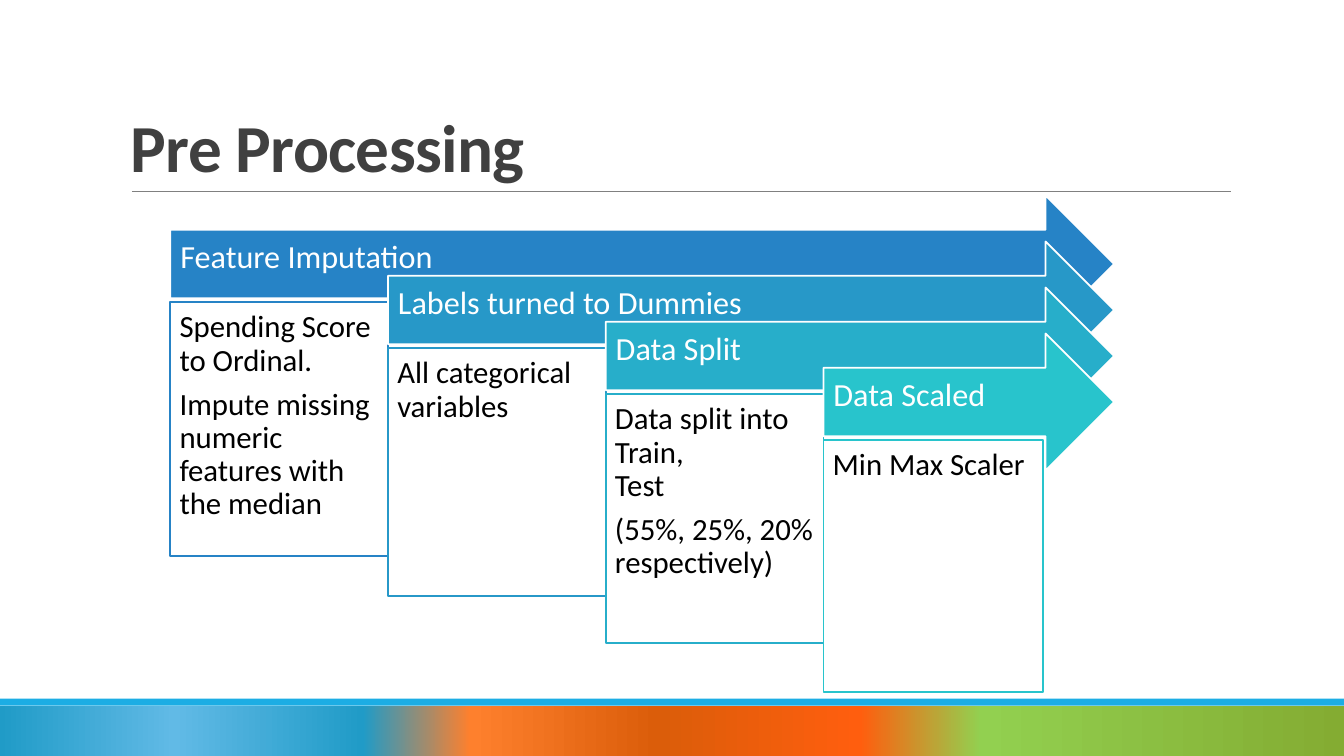
from lxml import etree
from pptx import Presentation
from pptx.dml.color import RGBColor
from pptx.enum.shapes import MSO_CONNECTOR, MSO_SHAPE
from pptx.enum.text import MSO_ANCHOR
from pptx.oxml.ns import qn
from pptx.util import Pt

RECTANGLE, RIGHT_ARROW = MSO_SHAPE.RECTANGLE, MSO_SHAPE.RIGHT_ARROW
STRAIGHT = MSO_CONNECTOR.STRAIGHT
TOP, MIDDLE, BOTTOM = MSO_ANCHOR.TOP, MSO_ANCHOR.MIDDLE, MSO_ANCHOR.BOTTOM

WHITE = RGBColor(0xFF, 0xFF, 0xFF)
BLACK = RGBColor(0, 0, 0)
TITLE_GREY = RGBColor(0x40, 0x40, 0x40)
RULE_GREY = RGBColor(0x80, 0x80, 0x80)
STRIPE_BLUE = RGBColor(0x1C, 0xAD, 0xE4)
STEP_BLUE = RGBColor(0x26, 0x83, 0xC6)
STEP_SKY = RGBColor(0x27, 0x98, 0xC8)
STEP_TEAL = RGBColor(0x27, 0xAE, 0xCA)
STEP_AQUA = RGBColor(0x28, 0xC4, 0xCC)
FOOTER_STOPS = [
    (0, RGBColor(0x84, 0xAC, 0x32)), (27, RGBColor(0x92, 0xD0, 0x50)),
    (36, RGBColor(0xFF, 0x5E, 0x0E)), (51, RGBColor(0xDB, 0x5D, 0x0A)),
    (65, RGBColor(0xFE, 0x80, 0x2D)), (73, RGBColor(0x20, 0x9B, 0xC7)),
    (87, RGBColor(0x61, 0xBA, 0xE6)), (100, RGBColor(0x20, 0x9B, 0xC7)),
]

# Heading, paragraphs, colour, box width, box height
STEPS = [
    ("Feature Imputation",
     ["Spending Score to Ordinal.",
      "Impute missing numeric features with the median"],
     STEP_BLUE, 155.5, 181.4),
    ("Labels turned to Dummies", ["All categorical variables"],
     STEP_SKY, 155.5, 177.1),
    ("Data Split",
     ["Data split into Train,\vTest", "(55%, 25%, 20% respectively)"],
     STEP_TEAL, 155.5, 177.8),
    ("Data Scaled", ["Min Max Scaler"], STEP_AQUA, 157, 180),
]
FIRST_LEFT, FIRST_TOP = 121.7, 139.7
STEP_RIGHT, STEP_DOWN = 155.5, 32.85
ARROW_TIP, ARROW_HEIGHT = 795.8, 97.9
BOX_DROP = 76


def write_text(shape, paragraphs, *, size, color, insets, anchor=TOP,
               bold=False, line_spacing=0.9, space_after=0, tracking=0):
    """Fill a shape with left-aligned paragraphs; insets run left, top, right, bottom."""
    frame = shape.text_frame
    frame.word_wrap = True
    frame.vertical_anchor = anchor
    (frame.margin_left, frame.margin_top,
     frame.margin_right, frame.margin_bottom) = map(Pt, insets)
    for index, words in enumerate(paragraphs):
        paragraph = frame.add_paragraph() if index else frame.paragraphs[0]
        paragraph.text = words
        paragraph.alignment = 1
        paragraph.line_spacing = line_spacing
        paragraph.space_after = Pt(space_after)
        for run in paragraph.runs:
            font = run.font
            font.name, font.size, font.bold = "Calibri", Pt(size), bold
            font.color.rgb = color
            if tracking:
                run._r.get_or_add_rPr().set("spc", str(round(tracking * 100)))


class SlideBuilder:
    line_width = 1.25

    def __init__(self, slide):
        self.shapes = slide.shapes

    def block(self, kind, left, top, width, height, fill=None, line=None):
        shape = self.shapes.add_shape(kind, Pt(left), Pt(top), Pt(width), Pt(height))
        shape.shadow.inherit = False
        if fill is not None:
            shape.fill.solid()
            shape.fill.fore_color.rgb = fill
        if line is None:
            shape.line.fill.background()
        else:
            shape.line.color.rgb = line
            shape.line.width = Pt(self.line_width)
        return shape

    def gradient_band(self, left, top, width, height, stops, angle):
        band = self.block(RECTANGLE, left, top, width, height)
        band.fill.gradient()
        band.fill.gradient_angle = angle
        stop_list = band._element.spPr.find(qn("a:gradFill")).find(qn("a:gsLst"))
        for old_stop in list(stop_list):
            stop_list.remove(old_stop)
        for percent, color in stops:
            stop = etree.SubElement(stop_list, qn("a:gs"), pos=str(percent * 1000))
            etree.SubElement(stop, qn("a:srgbClr"), val=str(color))

    def rule(self, left, right, y, color, width):
        line = self.shapes.add_connector(STRAIGHT, Pt(left), Pt(y), Pt(right), Pt(y))
        line.line.color.rgb = color
        line.line.width = Pt(width)
        etree.SubElement(line._element.spPr, qn("a:effectLst"))

    def title(self, words, left, top, width, height):
        box = self.shapes.add_textbox(Pt(left), Pt(top), Pt(width), Pt(height))
        write_text(box, [words], size=48, color=TITLE_GREY, bold=True, anchor=BOTTOM,
                   insets=(7.2, 3.6, 7.2, 3.6), line_spacing=0.85, tracking=-0.5)

    def step(self, left, top, heading, details, color, width, height):
        arrow = self.block(RIGHT_ARROW, left, top, ARROW_TIP - left, ARROW_HEIGHT,
                           color, WHITE)
        write_text(arrow, [heading], size=23, color=WHITE, anchor=MIDDLE,
                   insets=(7.2, 7.2, 20, 15.8))
        box = self.block(RECTANGLE, left, top + BOX_DROP, width, height, WHITE, color)
        write_text(box, details, size=22, color=BLACK, insets=(6.6,) * 4,
                   space_after=7.7)


def main():
    presentation = Presentation()
    presentation.slide_width, presentation.slide_height = Pt(960), Pt(540)
    builder = SlideBuilder(presentation.slides.add_slide(presentation.slide_layouts[6]))

    # Footer bands
    builder.gradient_band(0, 504, 960, 36, FOOTER_STOPS, 180)
    builder.block(RECTANGLE, 0, 499, 960, 5, STRIPE_BLUE)

    # Title and its rule
    builder.rule(94.3, 879.1, 136.8, RULE_GREY, 0.5)
    builder.title("Pre Processing", 86.4, 22.3, 792, 114.5)

    # Cascade of steps, each overlapping the one before
    for index, content in enumerate(STEPS):
        builder.step(FIRST_LEFT + index * STEP_RIGHT, FIRST_TOP + index * STEP_DOWN,
                     *content)

    presentation.save("out.pptx")


if __name__ == "__main__":
    main()
